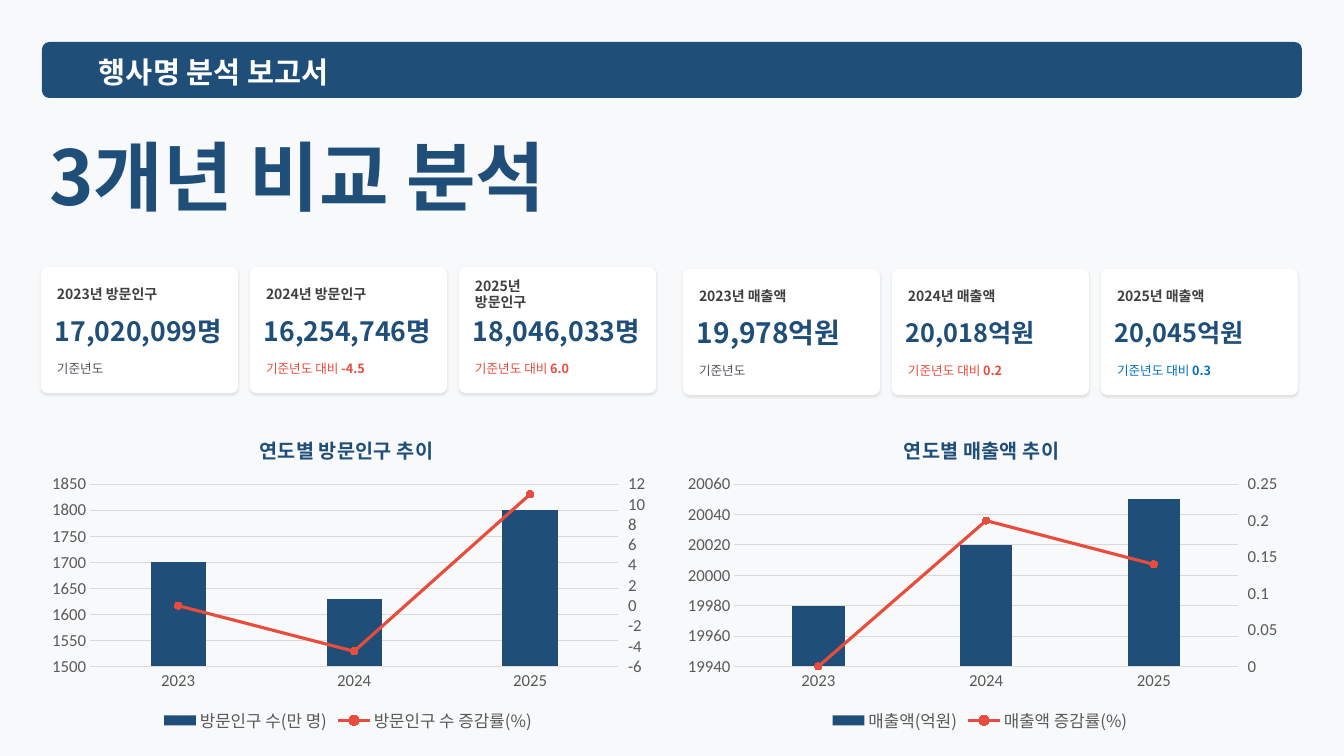
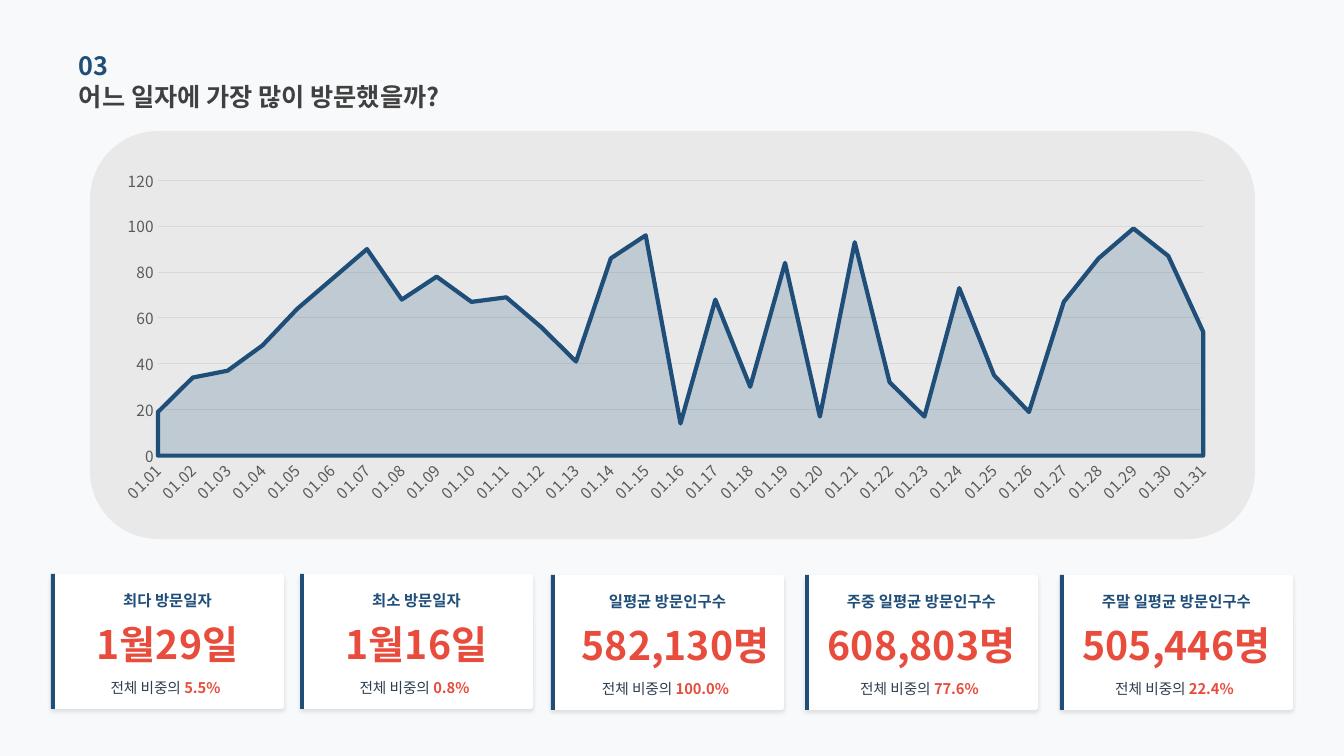
from copy import deepcopy

from lxml import etree
from pptx import Presentation
from pptx.chart.axis import ValueAxis
from pptx.chart.data import CategoryChartData
from pptx.dml.color import RGBColor
from pptx.enum.chart import XL_CHART_TYPE, XL_LEGEND_POSITION, XL_MARKER_STYLE, XL_TICK_MARK
from pptx.enum.shapes import MSO_SHAPE
from pptx.enum.text import MSO_ANCHOR, PP_ALIGN
from pptx.oxml import parse_xml
from pptx.oxml.ns import nsdecls, qn
from pptx.util import Emu, Pt

ROUNDED, RECT = MSO_SHAPE.ROUNDED_RECTANGLE, MSO_SHAPE.RECTANGLE
COLUMN, AREA = XL_CHART_TYPE.COLUMN_CLUSTERED, XL_CHART_TYPE.AREA
LEGEND_BOTTOM, CIRCLE = XL_LEGEND_POSITION.BOTTOM, XL_MARKER_STYLE.CIRCLE
TICK_NONE, TICK_OUT = XL_TICK_MARK.NONE, XL_TICK_MARK.OUTSIDE
MIDDLE, LEFT, CENTER = MSO_ANCHOR.MIDDLE, PP_ALIGN.LEFT, PP_ALIGN.CENTER

PAPER = RGBColor(0xF8, 0xF9, 0xFA)
WHITE = RGBColor(0xFF, 0xFF, 0xFF)
NAVY = RGBColor(0x1F, 0x4E, 0x79)
RED = RGBColor(0xE7, 0x4C, 0x3C)
BLUE = RGBColor(0x00, 0x70, 0xC0)
CHARCOAL = RGBColor(0x40, 0x40, 0x40)
SLATE = RGBColor(0x2C, 0x3E, 0x50)
GRAY = RGBColor(0x51, 0x54, 0x5A)
AXIS_GRAY = RGBColor(0x59, 0x59, 0x59)
GRID = RGBColor(0xD9, 0xD9, 0xD9)
PANEL = RGBColor(0xD0, 0xCE, 0xCE)
KOREAN, LATIN = "Noto Sans CJK KR", "Calibri"

VISITOR_CARDS = [
    ("2023년 방문인구", 113, "17,020,099명", 19, "기준년도", "", GRAY),
    ("2024년 방문인구", 109, "16,254,746명", 19, "기준년도 대비 ", "-4.5", RED),
    ("2025년 방문인구", 100, "18,046,033명", 19, "기준년도 대비 ", "6.0", RED),
]
SALES_CARDS = [
    ("2023년 매출액", 113, "19,978억원", 20, "기준년도", "", GRAY),
    ("2024년 매출액", 113, "20,018억원", 18, "기준년도 대비 ", "0.2", RED),
    ("2025년 매출액", 113, "20,045억원", 18, "기준년도 대비 ", "0.3", BLUE),
]
DAY_CARDS = [
    (51, 574, 0, "최다 방문일자", "1월29일", "5.5%"),
    (300, 574, 0, "최소 방문일자", "1월16일", "0.8%"),
    (551, 575, 8, "일평균 방문인구수", "582,130명", "100.0%"),
    (805, 575, 0, "주중 일평균 방문인구수", "608,803명", "77.6%"),
    (1060, 575, 0, "주말 일평균 방문인구수", "505,446명", "22.4%"),
]
DAILY_VISITS = [19, 34, 37, 48, 64, 77, 90, 68, 78, 67, 69, 56, 41, 86, 96, 14,
                68, 30, 84, 17, 93, 32, 17, 73, 35, 19, 67, 86, 99, 87, 54]


def px(length):
    """Turn px into EMU."""
    return Emu(round(length * 914400 / 100.8))


def style_font(font, size, color, bold=False, face=KOREAN):
    """Set face, size, colour and weight of a font."""
    font.name, font.size, font.bold = face, Pt(size), bold
    etree.SubElement(font._rPr, qn("a:ea")).set("typeface", face)
    font.color.rgb = color


def set_alpha(fill, percent):
    """Make a solid fill partly transparent."""
    color = next(fill._xPr.find(qn("a:solidFill")).iter(qn("a:srgbClr")))
    etree.SubElement(color, qn("a:alpha")).set("val", str(percent * 1000))


def add_text(slide, box, runs, align=LEFT):
    """Add one line of (text, size, colour, bold) runs in a box."""
    frame = slide.shapes.add_textbox(*map(px, box)).text_frame
    frame.word_wrap, frame.vertical_anchor = True, MIDDLE
    frame.margin_left = frame.margin_right = frame.margin_top = frame.margin_bottom = 0
    paragraph = frame.paragraphs[0]
    paragraph.alignment = align
    for text, size, color, bold in runs:
        run = paragraph.add_run()
        run.text = text
        style_font(run.font, size, color, bold)


def add_block(slide, kind, box, color, corner=None, shadow=None):
    """Add a filled shape, with an optional (blur, distance) shadow in points."""
    block = slide.shapes.add_shape(kind, *map(px, box))
    block.shadow.inherit = False
    block.fill.solid()
    block.fill.fore_color.rgb = color
    block.line.fill.background()
    if corner is not None:
        block.adjustments[0] = corner
    if shadow:
        blur, distance = map(Pt, shadow)
        block._element.spPr.find(qn("a:effectLst")).append(parse_xml(
            f'<a:outerShdw {nsdecls("a")} blurRad="{blur}" dist="{distance}" dir="5400000" '
            'algn="t" rotWithShape="0"><a:srgbClr val="000000"><a:alpha val="10000"/>'
            '</a:srgbClr></a:outerShdw>'))
    return block


def add_page(deck):
    """Add a blank slide with the shared background."""
    slide = deck.slides.add_slide(deck.slide_layouts[6])
    slide.background.fill.solid()
    slide.background.fill.fore_color.rgb = PAPER
    return slide


def set_layout(parent, index, **fractions):
    """Fix the place of a chart part as fractions of the chart."""
    for old in parent.findall(qn("c:layout")):
        parent.remove(old)
    target = '<c:layoutTarget val="inner"/>' if "w" in fractions else ""
    modes = "".join(f'<c:{key}Mode val="edge"/>' for key in "xy")
    values = "".join(f'<c:{key} val="{value}"/>' for key, value in fractions.items())
    parent.insert(index, parse_xml(
        f'<c:layout {nsdecls("c")}><c:manualLayout>{target}{modes}{values}'
        '</c:manualLayout></c:layout>'))


def set_scale(axis, low, high, step):
    """Set the range and step of a value axis."""
    axis.minimum_scale, axis.maximum_scale, axis.major_unit = low, high, step


def add_base_chart(slide, box, kind, categories, series, scale, size, face):
    """Add a chart with the shared axis and grid style."""
    data = CategoryChartData()
    data.categories = categories
    for name, values in series:
        data.add_series(name, values)
    chart = slide.shapes.add_chart(kind, *map(px, box), data).chart
    chart.has_title = chart.has_legend = False
    chart.font.name, chart.font.size = face, Pt(10)
    chart.plots[0].vary_by_categories = False
    for axis in (chart.category_axis, chart.value_axis):
        axis.major_tick_mark = axis.minor_tick_mark = TICK_NONE
        style_font(axis.tick_labels.font, size, AXIS_GRAY, face=face)
    axis_line = chart.category_axis.format.line
    chart.value_axis.format.line.fill.background()
    chart.value_axis.has_major_gridlines = True
    for line in (axis_line, chart.value_axis.major_gridlines.format.line):
        line.color.rgb, line.width = GRID, Pt(0.75)
    set_scale(chart.value_axis, *scale)
    return chart


def move_rate_to_right_axis(chart, scale):
    """Turn the second column series into a line on a right axis."""
    columns = chart.plots[0]._element
    rate = columns.findall(qn("c:ser"))[1]
    for flag in rate.findall(qn("c:invertIfNegative")):
        rate.remove(flag)
    line_plot = parse_xml(
        f'<c:lineChart {nsdecls("c")}><c:grouping val="standard"/><c:varyColors val="0"/>'
        '<c:marker val="1"/><c:axId val="5001"/><c:axId val="5002"/></c:lineChart>')
    line_plot.insert(2, rate)
    columns.addnext(line_plot)
    category, left = chart.category_axis._element, chart.value_axis._element
    right, hidden = deepcopy(left), deepcopy(category)
    left.addnext(right)
    right.addnext(hidden)
    for axis, own, other in ((hidden, "5001", "5002"), (right, "5002", "5001")):
        axis.find(qn("c:axId")).set("val", own)
        axis.find(qn("c:crossAx")).set("val", other)
    hidden.find(qn("c:delete")).set("val", "1")
    right.find(qn("c:axPos")).set("val", "r")
    right.find(qn("c:crosses")).set("val", "max")
    right_axis = ValueAxis(right)
    right_axis.has_major_gridlines = False
    right_axis.major_tick_mark = TICK_OUT
    set_scale(right_axis, *scale)


def add_trend_chart(slide, box, title, title_x, plot_x, plot_w, series, left_scale, right_scale):
    """Add columns with a rate line, a title and a legend."""
    chart = add_base_chart(slide, box, COLUMN, ["2023", "2024", "2025"], series,
                           left_scale, 12, LATIN)
    move_rate_to_right_axis(chart, right_scale)
    columns, rates = chart.plots
    columns.gap_width = 219
    amount, rate = columns.series[0], rates.series[0]
    amount.format.fill.solid()
    amount.format.fill.fore_color.rgb = NAVY
    rate.smooth = False
    rate.format.fill.background()
    rate.format.line.color.rgb, rate.format.line.width = RED, Pt(2.25)
    rate.marker.style, rate.marker.size = CIRCLE, 5
    rate.marker.format.fill.solid()
    rate.marker.format.fill.fore_color.rgb = RED
    rate.marker.format.line.color.rgb = RED
    chart.has_legend = True
    chart.legend.position, chart.legend.include_in_layout = LEGEND_BOTTOM, False
    style_font(chart.legend.font, 12, AXIS_GRAY)
    heading = chart.chart_title.text_frame.paragraphs[0].add_run()
    heading.text = title
    style_font(heading.font, 14, NAVY, True)
    set_layout(chart.chart_title._element, 1, x=title_x, y=0.04)
    set_layout(columns._element.getparent(), 0, x=plot_x, y=0.21, w=plot_w, h=0.57)


def add_year_card(slide, x, y, label, label_w, value, size, note, change, color):
    """Add one yearly figure card."""
    add_block(slide, ROUNDED, (x, y, 197, 126), WHITE, 0.05, (2, 1))
    add_text(slide, (x + 16, y + 18, label_w, 18), [(label, 10, CHARCOAL, True)])
    add_text(slide, (x + 14, y + 49, 197, 29), [(value, size, NAVY, True)])
    runs = [(note, 9, color, False)]
    if change:
        runs.append((change, 9, color, True))
    add_text(slide, (x + 16, y + 91, 176, 22), runs)


def add_day_card(slide, x, y, shift, label, value, share):
    """Add one daily figure card with a bar at its left edge."""
    add_block(slide, ROUNDED, (x, y, 233, 135), WHITE, 0.02, (3, 2))
    add_text(slide, (x + 10, y + 15, 213, 22), [(label, 11, NAVY, True)], CENTER)
    add_text(slide, (x + shift, y + 51, 233, 38), [(value, 28, RED, True)], CENTER)
    add_text(slide, (x + 46, y + 103, 137, 21),
             [("전체 비중의 ", 10.5, SLATE, False), (share, 10.5, RED, True)], CENTER)
    add_block(slide, RECT, (x, y, 4, 135), NAVY)


def add_comparison_slide(deck):
    """Build the three-year comparison slide."""
    slide = add_page(deck)
    for left, top, cards in ((41, 267, VISITOR_CARDS), (683, 269, SALES_CARDS)):
        for index, card in enumerate(cards):
            add_year_card(slide, left + 209 * index, top, *card)
    add_block(slide, ROUNDED, (42, 42, 1260, 56), NAVY, 0.13)
    add_text(slide, (99, 50, 300, 43), [("행사명 분석 보고서", 21, WHITE, True)])
    add_text(slide, (49, 120, 637, 110), [("3개년 비교 분석", 54, NAVY, True)])
    add_trend_chart(slide, (41, 417, 614, 320), "연도별 방문인구 추이", 0.35, 0.08, 0.86,
                    [("방문인구 수(만 명)", [1700, 1630, 1800]),
                     ("방문인구 수 증감률(%)", [0, -4.5, 11])],
                    (1500, 1850, 50), (-6, 12, 2))
    add_trend_chart(slide, (673, 417, 614, 320), "연도별 매출액 추이", 0.37, 0.1, 0.82,
                    [("매출액(억원)", [19980, 20020, 20050]),
                     ("매출액 증감률(%)", [0, 0.2, 0.14])],
                    (19940, 20060, 20), (0, 0.25, 0.05))


def add_daily_chart(slide, box):
    """Add the area chart of daily visits."""
    days = [f"01.{day:02d}" for day in range(1, len(DAILY_VISITS) + 1)]
    chart = add_base_chart(slide, box, AREA, days, [("Series 1", DAILY_VISITS)],
                           (0, 120, 20), 11, KOREAN)
    visits = chart.plots[0].series[0].format
    visits.fill.solid()
    visits.fill.fore_color.rgb = NAVY
    set_alpha(visits.fill, 20)
    visits.line.color.rgb, visits.line.width = NAVY, Pt(3)
    labels = chart.category_axis._element.find(qn("c:txPr")).find(qn("a:bodyPr"))
    labels.set("rot", "-2700000")
    chart.value_axis._element.find(qn("c:crossBetween")).set("val", "midCat")
    set_layout(chart.plots[0]._element.getparent(), 0, x=0.04, y=0.12, w=0.93, h=0.67)


def add_daily_slide(deck):
    """Build the slide on visits by day."""
    slide = add_page(deck)
    panel = add_block(slide, ROUNDED, (90, 131, 1165, 408), PANEL)
    set_alpha(panel.fill, 36)
    add_text(slide, (79, 76, 456, 41), [("어느 일자에 가장 많이 방문했을까?", 18, CHARCOAL, True)])
    add_text(slide, (79, 45, 456, 41), [("03", 18, NAVY, True)])
    for card in DAY_CARDS:
        add_day_card(slide, *card)
    add_daily_chart(slide, (113, 131, 1124, 411))


def main():
    """Build and save the deck."""
    deck = Presentation()
    deck.slide_width, deck.slide_height = px(1344), px(756)
    add_comparison_slide(deck)
    add_daily_slide(deck)
    deck.save("out.pptx")


if __name__ == "__main__":
    main()
